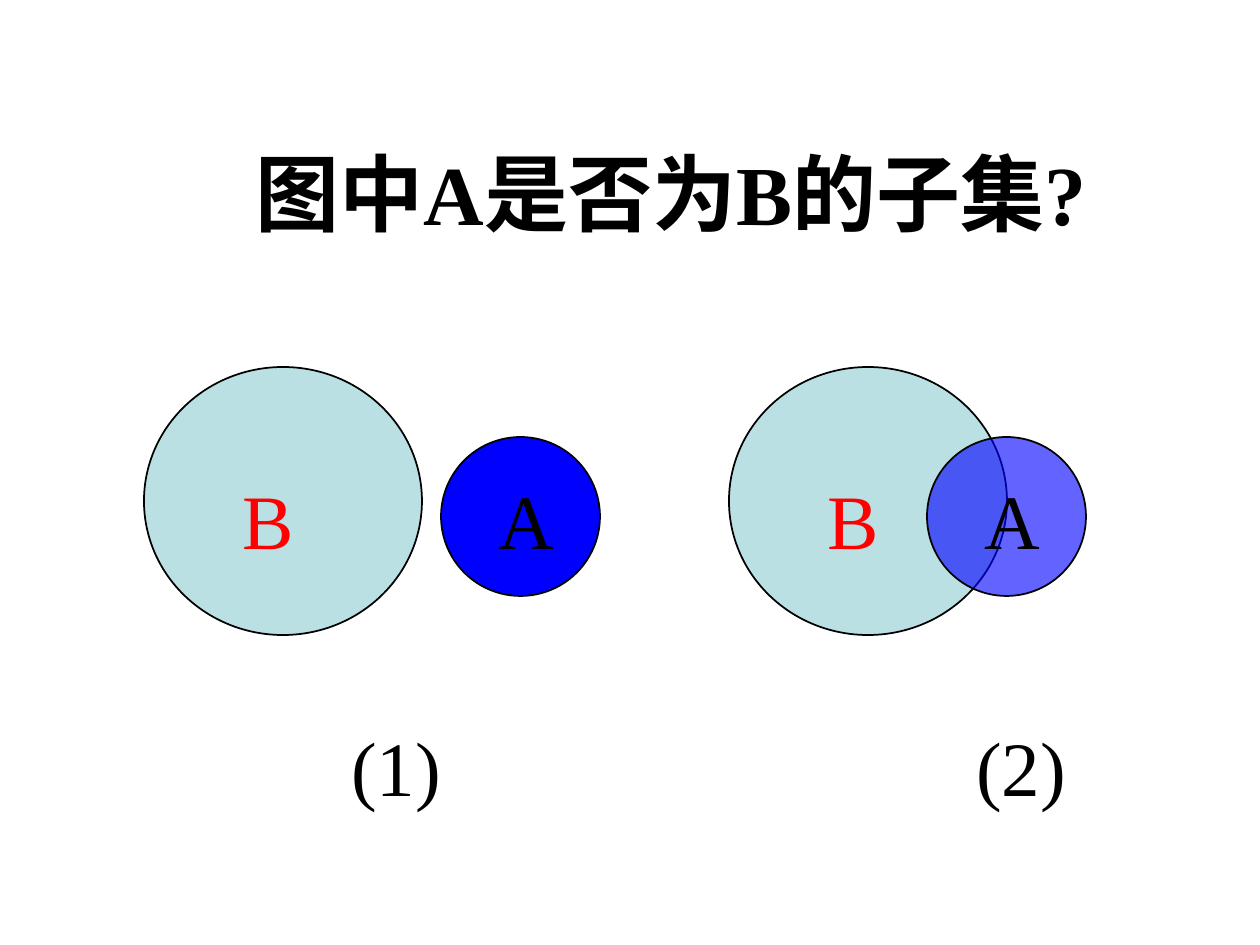
from dataclasses import dataclass

from pptx import Presentation
from pptx.dml.color import RGBColor
from pptx.enum.shapes import MSO_SHAPE
from pptx.enum.text import MSO_ANCHOR, MSO_AUTO_SIZE, PP_ALIGN
from pptx.oxml.ns import qn
from pptx.util import Emu, Inches, Pt
from lxml import etree

ELLIPSE = MSO_SHAPE.OVAL
TOP = MSO_ANCHOR.TOP
NO_FIT = MSO_AUTO_SIZE.NONE
LEFT, CENTER = PP_ALIGN.LEFT, PP_ALIGN.CENTER

PX_PER_INCH = 126
FONT = "Times New Roman"
BLACK, RED, BLUE, TEAL = "000000", "FF0000", "0000FF", "BBE0E3"
LABEL_Y, LABEL_W = 466, 110
CAPTION_Y, CAPTION_W = 713, 228
TEXT_H = 106


@dataclass(frozen=True)
class Diagram:
    """Left edges in px of one pair of sets and its caption."""
    caption: str
    b_x: int
    a_x: int
    caption_x: int
    a_alpha: int = 100


DIAGRAMS = [
    Diagram("(1)", 144, 441, 282),
    Diagram("(2)", 729, 927, 907, a_alpha=61),
]


def px(n: int) -> Emu:
    return Emu(round(n * 914400 / PX_PER_INCH))


def rgb(color: str) -> RGBColor:
    return RGBColor.from_string(color)


def set_text(s, text: str, size: int, color: str, align, bold: bool = False) -> None:
    tf = s.text_frame
    tf.word_wrap = True
    tf.auto_size = NO_FIT
    tf.vertical_anchor = TOP
    p = tf.paragraphs[0]
    p.text = text
    p.alignment = align
    p.font.name = FONT
    p.font.size = Pt(size)
    p.font.bold = bold
    p.font.color.rgb = rgb(color)


def add_label(slide, text: str, x: int, y: int, w: int, color: str) -> None:
    s = slide.shapes.add_textbox(px(x), px(y), px(w), px(TEXT_H))
    set_text(s, text, 44, color, CENTER)


def add_set(slide, x: int, y: int, w: int, h: int, color: str, alpha: int = 100) -> None:
    """Draw an outlined ellipse; alpha is its opacity in percent."""
    s = slide.shapes.add_shape(ELLIPSE, px(x), px(y), px(w), px(h))
    s.shadow.inherit = False
    s.fill.solid()
    s.fill.fore_color.rgb = rgb(color)
    s.line.color.rgb = rgb(BLACK)
    s.line.width = Pt(1)
    if alpha < 100:
        clr = s._element.spPr.find(qn("a:solidFill")).find(qn("a:srgbClr"))
        etree.SubElement(clr, qn("a:alpha")).set("val", str(alpha * 1000))


def add_diagram(slide, d: Diagram) -> None:
    add_set(slide, d.b_x, 367, 278, 268, TEAL)
    add_label(slide, "B", d.b_x + 69, LABEL_Y, LABEL_W, RED)
    add_set(slide, d.a_x, 437, 159, 159, BLUE, d.a_alpha)
    add_label(slide, "A", d.a_x + 30, LABEL_Y, LABEL_W, BLACK)
    add_label(slide, d.caption, d.caption_x, CAPTION_Y, CAPTION_W, BLACK)


def main() -> None:
    prs = Presentation()
    prs.slide_width, prs.slide_height = Inches(10), Inches(7.5)
    slide = prs.slides.add_slide(prs.slide_layouts[5])

    title = slide.shapes.title
    title.left, title.top = px(243), px(135)
    title.width, title.height = px(912), px(113)
    set_text(title, "图中A是否为B的子集?", 48, BLACK, LEFT, bold=True)

    for d in DIAGRAMS:
        add_diagram(slide, d)
    prs.save("out.pptx")


if __name__ == "__main__":
    main()
